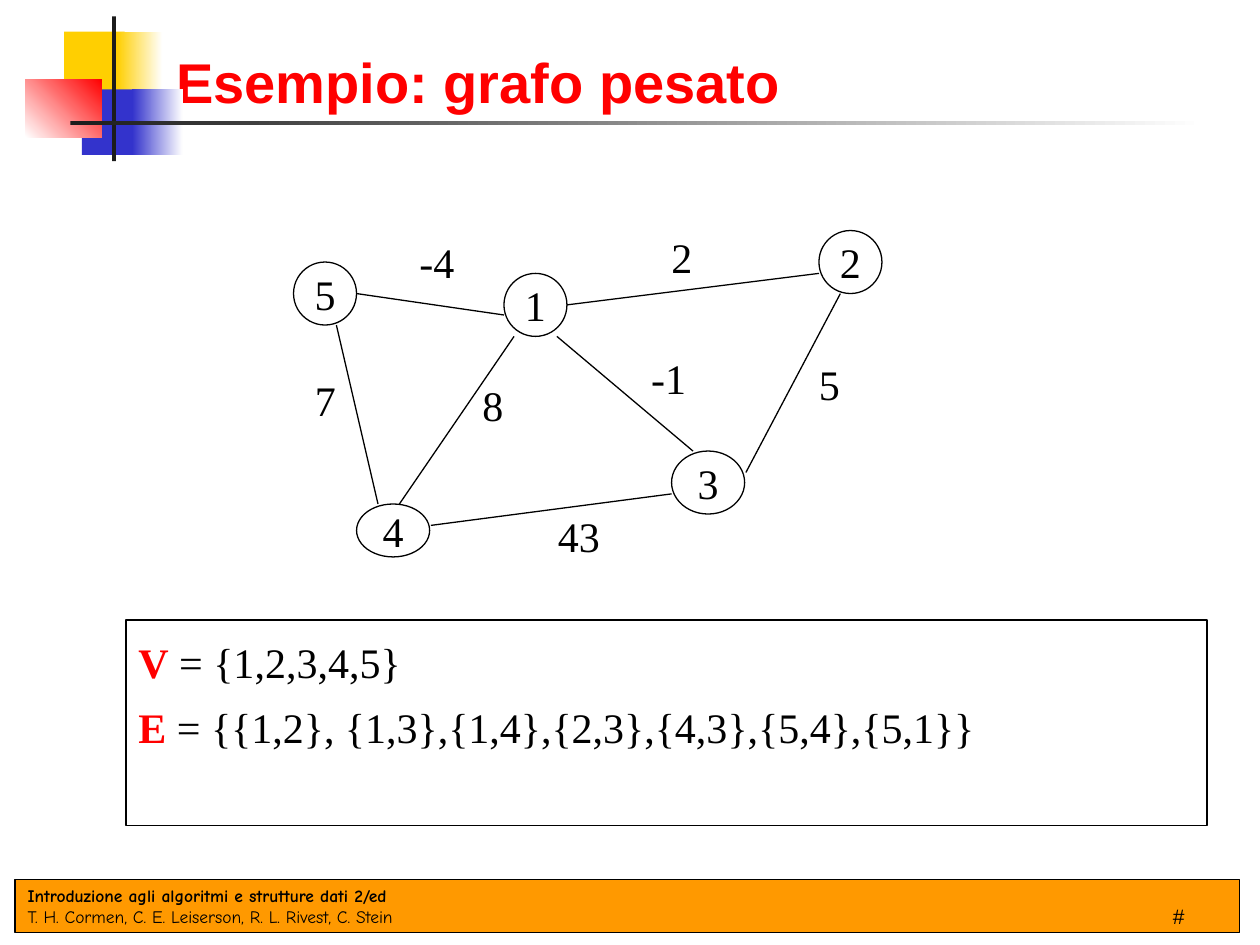
from lxml import etree
from pptx import Presentation
from pptx.dml.color import RGBColor
from pptx.enum.shapes import MSO_CONNECTOR, MSO_SHAPE
from pptx.enum.text import MSO_ANCHOR, PP_ALIGN
from pptx.oxml.ns import qn
from pptx.util import Inches, Pt

RECTANGLE, OVAL = MSO_SHAPE.RECTANGLE, MSO_SHAPE.OVAL
STRAIGHT = MSO_CONNECTOR.STRAIGHT
TOP, MIDDLE, BOTTOM = MSO_ANCHOR.TOP, MSO_ANCHOR.MIDDLE, MSO_ANCHOR.BOTTOM
LEFT, CENTER, RIGHT = PP_ALIGN.LEFT, PP_ALIGN.CENTER, PP_ALIGN.RIGHT

COLORS = {
    "black": "000000",
    "white": "FFFFFF",
    "red": "FF0000",
    "yellow": "FFCF01",
    "blue": "3333CC",
    "dark": "1C1C1C",
    "orange": "FF9900",
}
SERIF = "Times New Roman"

DECORATION = [
    ((0.51, 0.25, 0.48, 0.52), ["yellow"], 0),
    ((0.93, 0.25, 0.36, 0.52), ["yellow", "white"], 0),
    ((0.65, 0.71, 0.46, 0.52), ["blue"], 0),
    ((1.05, 0.71, 0.4, 0.52), ["blue", "white"], 0),
    ((0.2, 0.63, 0.61, 0.46), ["white", "red"], 45),
    ((0.89, 0.13, 0.03, 1.15), ["dark"], 0),
    ((0.56, 0.96, 9, 0.03), ["dark", "white"], 0),
]
NODES = {
    "1": (4, 2.17, 0.5, 0.5),
    "2": (6.5, 1.83, 0.5, 0.5),
    "3": (5.33, 3.58, 0.58, 0.5),
    "4": (2.83, 4, 0.58, 0.42),
    "5": (2.33, 2.08, 0.5, 0.5),
}
EDGES = [
    ((4.08, 2.67), (3.17, 4)),
    ((3.42, 4.17), (5.33, 3.92)),
    ((4.5, 2.42), (6.5, 2.17)),
    ((5.5, 3.58), (4.42, 2.67)),
    ((5.92, 3.75), (6.67, 2.33)),
    ((2.67, 2.58), (3, 4)),
    ((2.83, 2.33), (4, 2.5)),
]
WEIGHTS = [
    ("-4", 3.23, 1.83, 0.48),
    ("2", 5.23, 1.79, 0.37),
    ("7", 2.4, 2.92, 0.37),
    ("5", 6.4, 2.8, 0.37),
    ("-1", 5.07, 2.75, 0.48),
    ("8", 3.73, 2.96, 0.37),
    ("43", 4.33, 4, 0.53),
]
SETS = [
    ("V", " = {1,2,3,4,5}", 1.2),
    ("E", " = {{1,2}, {1,3},{1,4},{2,3},{4,3},{5,4},{5,1}}", 1.3),
]


def rgb(name):
    return RGBColor.from_string(COLORS[name])


def format_run(run, size, font, color="black", bold=False):
    run.font.size = Pt(size)
    run.font.name = font
    run.font.bold = bold
    run.font.color.rgb = rgb(color)


def set_text(shape, text, size, font, align=LEFT, anchor=TOP, wrap=False, color="black", bold=False):
    frame = shape.text_frame
    frame.text = text
    frame.word_wrap = wrap
    frame.vertical_anchor = anchor
    paragraph = frame.paragraphs[0]
    paragraph.alignment = align
    for run in paragraph.runs:
        format_run(run, size, font, color, bold)


def add_shape(slide, kind, box, colors, angle=0, outlined=True):
    shape = slide.shapes.add_shape(kind, *map(Inches, box))
    shape.shadow.inherit = False
    if len(colors) == 2:
        shape.fill.gradient()
        shape.fill.gradient_angle = angle
        for stop, color, position in zip(shape.fill.gradient_stops, colors, (0, 1)):
            stop.color.rgb = rgb(color)
            stop.position = position
    elif colors:
        shape.fill.solid()
        shape.fill.fore_color.rgb = rgb(colors[0])
    else:
        shape.fill.background()
    if outlined:
        shape.line.color.rgb = rgb("black")
        shape.line.width = Pt(0.75)
    else:
        shape.line.fill.background()
    return shape


def add_label(slide, box, text, size, font, **options):
    label = slide.shapes.add_textbox(*map(Inches, box))
    set_text(label, text, size, font, **options)


def add_edge(slide, start, end):
    edge = slide.shapes.add_connector(STRAIGHT, *map(Inches, start + end))
    edge.line.color.rgb = rgb("black")
    edge.line.width = Pt(0.75)
    etree.SubElement(edge._element.spPr, qn("a:effectLst"))


def add_node(slide, name, box):
    node = add_shape(slide, OVAL, box, ["white"])
    set_text(node, name, 24, SERIF, align=CENTER, anchor=MIDDLE)


def add_footer(slide):
    footer = add_shape(slide, RECTANGLE, (0.12, 6.98, 9.72, 0.42), ["orange"])
    text = "Introduzione agli algoritmi e strutture dati 2/ed\vT. H. Cormen, C. E. Leiserson, R. L. Rivest, C. Stein"
    set_text(footer, text, 10, "Comic Neue", anchor=MIDDLE)
    footer.text_frame.paragraphs[0].runs[0].font.bold = True
    add_label(slide, (7.42, 6.92, 2.08, 0.5), "#", 12, "Arial", align=RIGHT, anchor=BOTTOM, wrap=True)


def add_set_box(slide):
    box = add_shape(slide, RECTANGLE, (1, 4.92, 8.58, 1.63), [])
    frame = box.text_frame
    frame.word_wrap = True
    frame.vertical_anchor = TOP
    for index, (name, members, spacing) in enumerate(SETS):
        paragraph = frame.add_paragraph() if index else frame.paragraphs[0]
        paragraph.alignment = LEFT
        paragraph.line_spacing = spacing
        for text, color, bold in ((name, "red", True), (members, "black", False)):
            run = paragraph.add_run()
            run.text = text
            format_run(run, 24, SERIF, color, bold)


def set_title(slide):
    title = slide.shapes.title
    title.left, title.top, title.width, title.height = map(Inches, (1.3, 0.21, 8.24, 0.75))
    set_text(title, "Esempio: grafo pesato", 32, "Arial", anchor=BOTTOM, wrap=True, color="red", bold=True)


def main():
    presentation = Presentation()
    presentation.slide_width, presentation.slide_height = Inches(10), Inches(7.5)
    slide = presentation.slides.add_slide(presentation.slide_layouts[5])
    set_title(slide)
    for box, colors, angle in DECORATION:
        add_shape(slide, RECTANGLE, box, colors, angle, outlined=False)
    add_footer(slide)
    for name, box in NODES.items():
        add_node(slide, name, box)
    for start, end in EDGES:
        add_edge(slide, start, end)
    for text, left, top, width in WEIGHTS:
        add_label(slide, (left, top, width, 0.5), text, 24, SERIF)
    add_set_box(slide)
    presentation.save("out.pptx")


if __name__ == "__main__":
    main()
